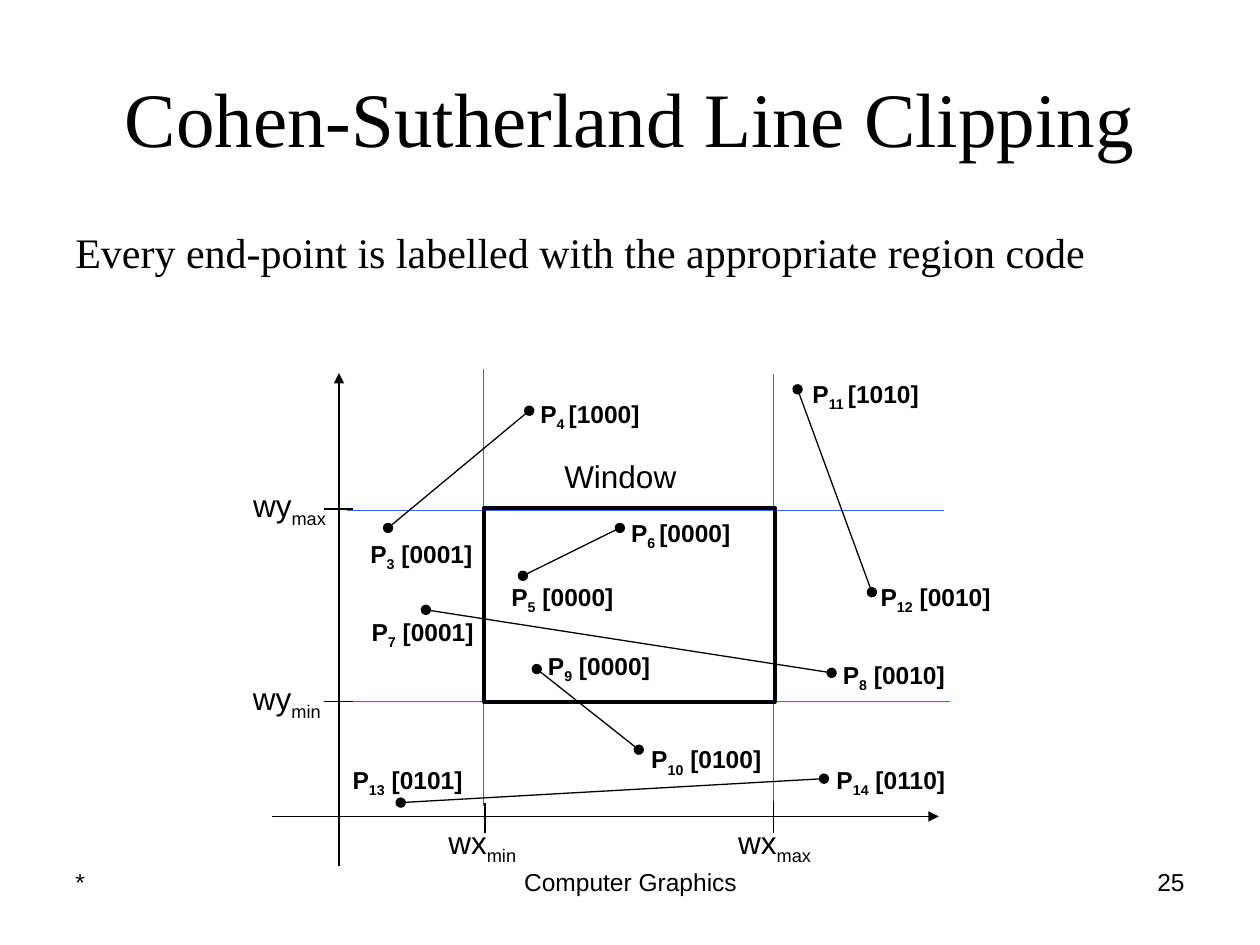
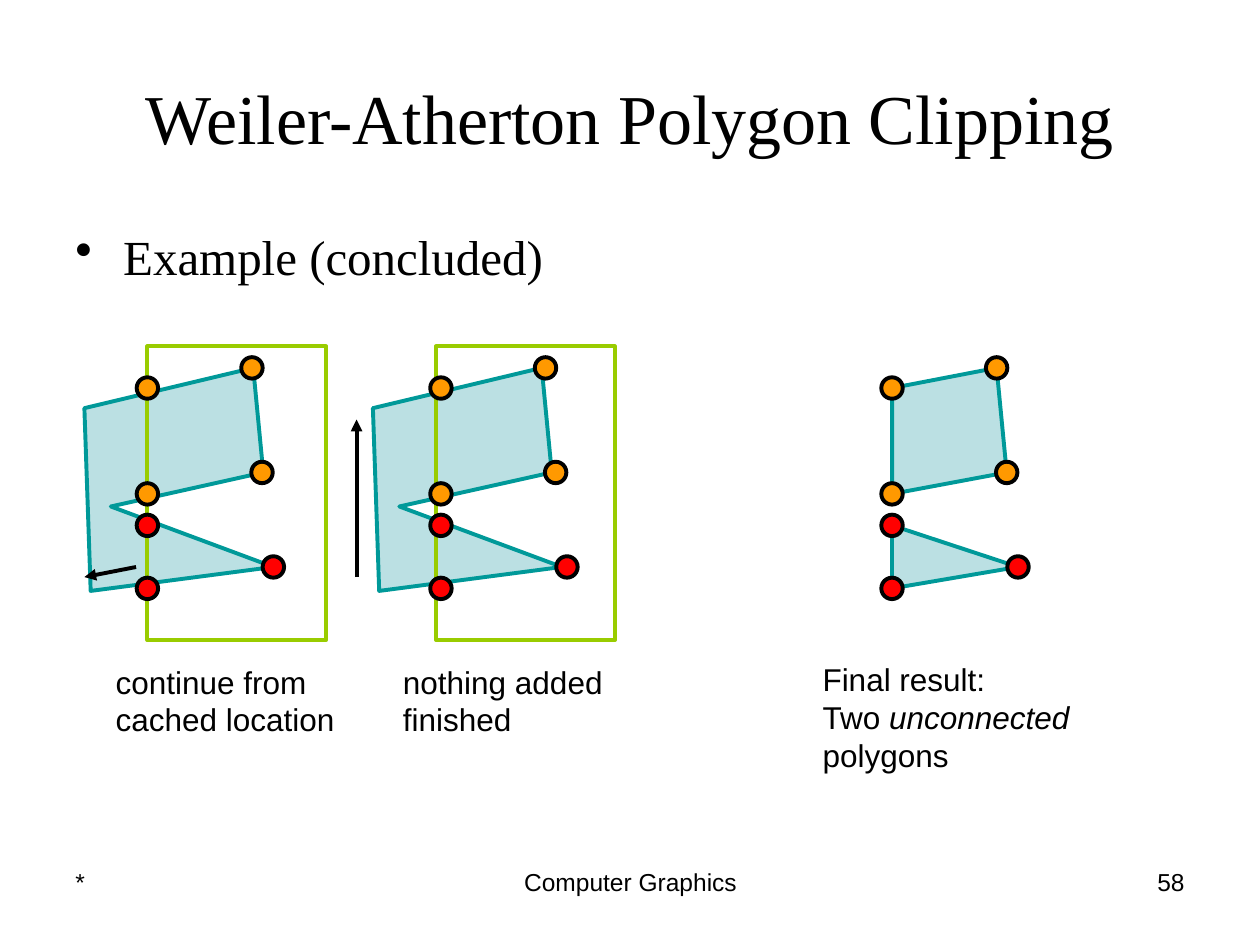
"""Two slides on line clipping and polygon clipping."""
from dataclasses import dataclass

from lxml.etree import SubElement
from pptx import Presentation
from pptx.dml.color import RGBColor as RGB
from pptx.enum.shapes import MSO_CONNECTOR as CONN, MSO_SHAPE as SHAPE
from pptx.enum.text import MSO_ANCHOR as ANCHOR, PP_ALIGN as ALIGN
from pptx.oxml.ns import qn
from pptx.util import Inches, Pt


@dataclass(frozen=True)
class Theme:
    serif: str = "Times New Roman"
    sans: str = "Arial"
    ink: RGB = RGB(0, 0, 0)
    guide: RGB = RGB(0x33, 0x66, 0xFF)
    poly: RGB = RGB(0xBB, 0xE0, 0xE3)
    edge: RGB = RGB(0, 0x99, 0x99)
    clip: RGB = RGB(0x99, 0xCC, 0)
    orange: RGB = RGB(0xFF, 0x99, 0)
    red: RGB = RGB(0xFF, 0, 0)
    small: Pt = Pt(14)
    label: Pt = Pt(18)
    thin: Pt = Pt(0.75)
    thick: Pt = Pt(2.25)


T = Theme()


def add_text(s, at, paras, wrap=True, align=ALIGN.LEFT, anchor=ANCHOR.TOP, **fmt):
    tf = s.shapes.add_textbox(*map(Inches, at)).text_frame
    tf.word_wrap, tf.vertical_anchor = wrap, anchor
    for i, runs in enumerate(paras):
        p = tf.add_paragraph() if i else tf.paragraphs[0]
        p.alignment = align
        for text, mode in runs:
            r = p.add_run()
            r.text = text
            r.font.color.rgb = T.ink
            for key, value in {"name": T.sans, "size": T.label, **fmt}.items():
                setattr(r.font, key, value)
            if mode == "sub":
                r._r.get_or_add_rPr().set("baseline", "-25000")
            elif mode == "italic":
                r.font.italic = True
    return tf


def style(sp, color, width, fill=None, head=None, tail=None):
    sp.line.color.rgb, sp.line.width = color, width
    if fill is not None:
        sp.fill.solid()
        sp.fill.fore_color.rgb = fill
    elif hasattr(sp, "fill"):
        sp.fill.background()
    ln = sp.line._get_or_add_ln()
    for tag, kind in (("a:headEnd", head), ("a:tailEnd", tail)):
        if kind:
            SubElement(ln, qn(tag)).set("type", kind)
    SubElement(sp._element.spPr, qn("a:effectLst"))


prs = Presentation()
prs.slide_width, prs.slide_height = Inches(10), Inches(7.5)

slides = []
for title, title_size, body, body_size, bullet, number in (
    ("Cohen-Sutherland Line Clipping", 44,
     "Every end-point is labelled with the appropriate region code", 24, None, "25"),
    ("Weiler-Atherton Polygon Clipping", 40, "Example (concluded)", 28, "•", "58"),
):
    s = prs.slides.add_slide(prs.slide_layouts[6])
    slides.append(s)
    for left, width, text, align in (
        (0.5, 2.33, "*", ALIGN.LEFT),
        (3.42, 3.17, "Computer Graphics", ALIGN.CENTER),
        (7.17, 2.33, number, ALIGN.RIGHT),
    ):
        add_text(s, (left, 6.83, width, 0.52), [[(text, "")]], align=align, size=T.small)
    add_text(s, (0.5, 0.3, 9, 1.25), [[(title, "")]], align=ALIGN.CENTER,
             anchor=ANCHOR.MIDDLE, name=T.serif, size=Pt(title_size))
    tf = add_text(s, (0.5, 1.75, 9, 1.28), [[(body, "")]], name=T.serif, size=Pt(body_size))
    pPr = tf.paragraphs[0]._p.get_or_add_pPr()
    pPr.set("marL", str(Inches(0.38)))
    pPr.set("indent", str(-Inches(0.38)))
    if bullet:
        SubElement(pPr, qn("a:buChar")).set("char", bullet)

lines, polygons = slides

guides = [(3.84, 2.93, 3.84, 6.4), (6.14, 2.97, 6.14, 6.44),
          (7.49, 4.05, 2.75, 4.05), (7.54, 5.57, 2.8, 5.57)]
axes = [(2.16, 6.48, 7.45, 6.48), (2.69, 6.87, 2.69, 2.96)]
ticks = [(2.8, 4.04, 2.57, 4.04), (2.8, 5.57, 2.57, 5.57),
         (3.85, 6.37, 3.85, 6.61), (6.14, 6.36, 6.14, 6.61)]
segments = [(4.15, 4.57, 4.92, 4.19), (3.08, 4.19, 4.2, 3.26),
            (4.26, 5.31, 5.07, 5.95), (3.38, 4.84, 6.6, 5.34),
            (6.92, 4.7, 6.33, 3.09), (3.18, 6.37, 6.54, 6.18)]
for group, color, head, tail in (
    (guides, T.guide, None, None),
    (axes, T.ink, None, "triangle"),
    (ticks, T.ink, None, None),
    (segments, T.ink, "oval", "oval"),
):
    for ends in group:
        sp = lines.shapes.add_connector(CONN.STRAIGHT, *map(Inches, ends))
        style(sp, color, T.thin, head=head, tail=tail)

window = lines.shapes.add_shape(SHAPE.RECTANGLE, *map(Inches, (3.84, 4.03, 2.31, 1.54)))
style(window, T.ink, T.thick)
add_text(lines, (4.38, 3.58, 1.09, 0.4), [[("Window", "")]], wrap=False)

for left, top, width, axis, limit in (
    (1.91, 3.81, 0.82, "wy", "max"), (1.91, 5.34, 0.77, "wy", "min"),
    (3.46, 6.48, 0.77, "wx", "min"), (5.76, 6.48, 0.82, "wx", "max"),
):
    add_text(lines, (left, top, width, 0.4), [[(axis, ""), (limit, "sub")]], wrap=False)

for left, top, width, point, code in (
    (2.84, 4.23, 1.01, "3", " [0001]"), (4.19, 3.12, 0.99, "4 ", "[1000]"),
    (3.96, 4.57, 1.01, "5", " [0000]"), (4.91, 4.06, 0.99, "6 ", "[0000]"),
    (2.85, 4.85, 1.01, "7", " [0001]"), (6.59, 5.19, 1.01, "8", " [0010]"),
    (4.25, 5.12, 1.01, "9", " [0000]"), (5.07, 5.86, 1.08, "10", " [0100]"),
    (6.35, 2.96, 1.06, "11 ", "[1010]"), (6.89, 4.57, 1.09, "12", " [0010]"),
    (2.7, 6.02, 1.08, "13", " [0101]"), (6.54, 6.02, 1.08, "14", " [0110]"),
):
    add_text(lines, (left, top, width, 0.33), [[("P", ""), (point, "sub"), (code, "")]],
             wrap=False, size=T.small, bold=True)

subject = [(0.67, 3.24), (2.01, 2.92), (2.09, 3.75), (0.88, 4.02), (2.17, 4.5), (0.72, 4.69)]
quad = [(1.17, 3.08), (2, 2.92), (2.08, 3.75), (1.17, 3.92)]
triangle = [(1.17, 4.17), (2.17, 4.5), (1.17, 4.67)]
dot = 0.17

for shift, dot_shift, outlines, arrow, caption_at, caption in (
    (0, 0, [subject], (1.08, 4.5, 0.67, 4.58), (0.82, 5.21, 2.1, 0.7),
     [[("continue from", "")], [("cached location", "")]]),
    (2.29, 2.33, [subject], (2.83, 4.58, 2.83, 3.33), (3.1, 5.21, 1.96, 0.7),
     [[("nothing added", "")], [("finished", "")]]),
    (5.91, 5.91, [quad, triangle], None, (6.43, 5.19, 2.28, 1),
     [[("Final result:", "")], [("Two ", ""), ("unconnected", "italic")], [("polygons", "")]]),
):
    for outline in outlines:
        points = [(Inches(x + shift), Inches(y)) for x, y in outline]
        builder = polygons.shapes.build_freeform(*points[0])
        builder.add_line_segments(points[1:], close=True)
        style(builder.convert_to_shape(), T.edge, T.thick, T.poly)
    if arrow:
        sp = polygons.shapes.add_shape(
            SHAPE.RECTANGLE, *map(Inches, (1.17 + shift, 2.75, 1.42, 2.33)))
        style(sp, T.clip, T.thick)
        sp = polygons.shapes.add_connector(CONN.STRAIGHT, *map(Inches, arrow))
        style(sp, T.ink, T.thick, tail="triangle")
    for corners, color in ((quad, T.orange), (triangle, T.red)):
        for x, y in corners:
            at = (x + dot_shift - dot / 2, y - dot / 2, dot, dot)
            sp = polygons.shapes.add_shape(SHAPE.OVAL, *map(Inches, at))
            style(sp, T.ink, T.thick, color)
    add_text(polygons, caption_at, caption)

prs.save("out.pptx")
